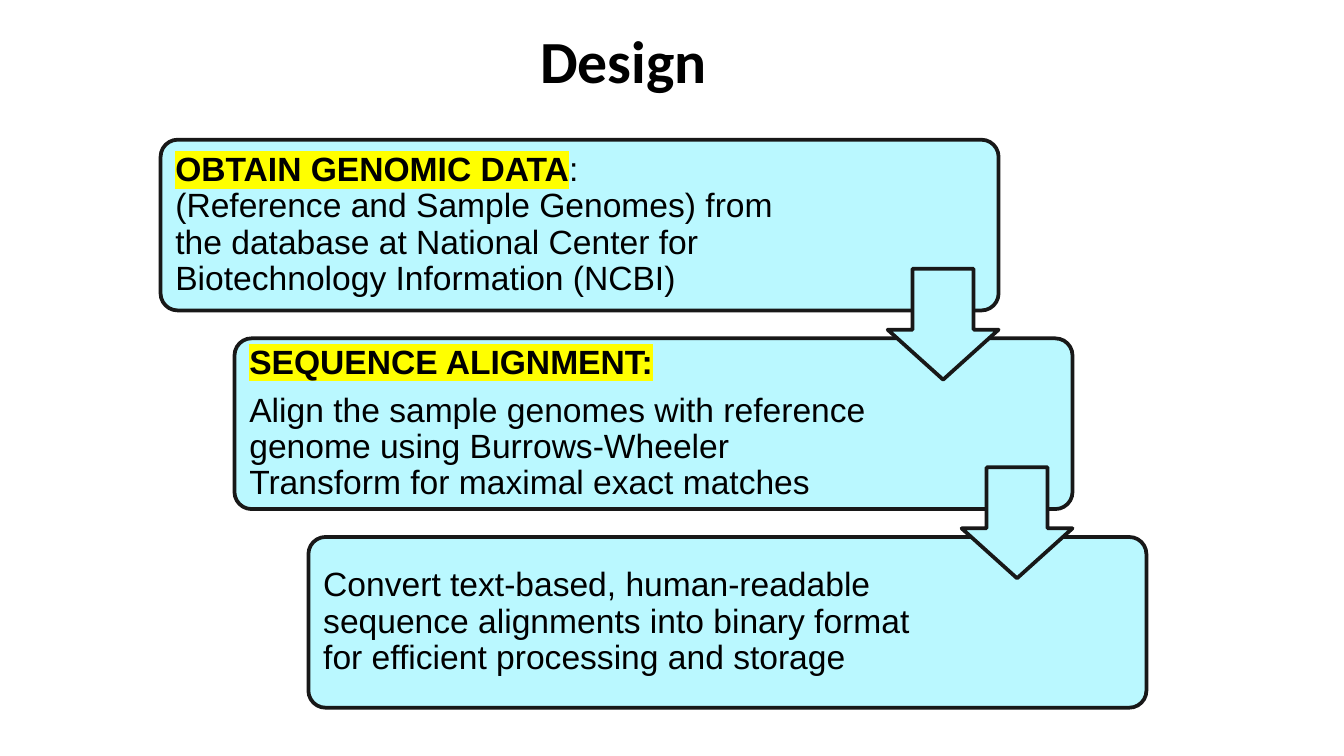
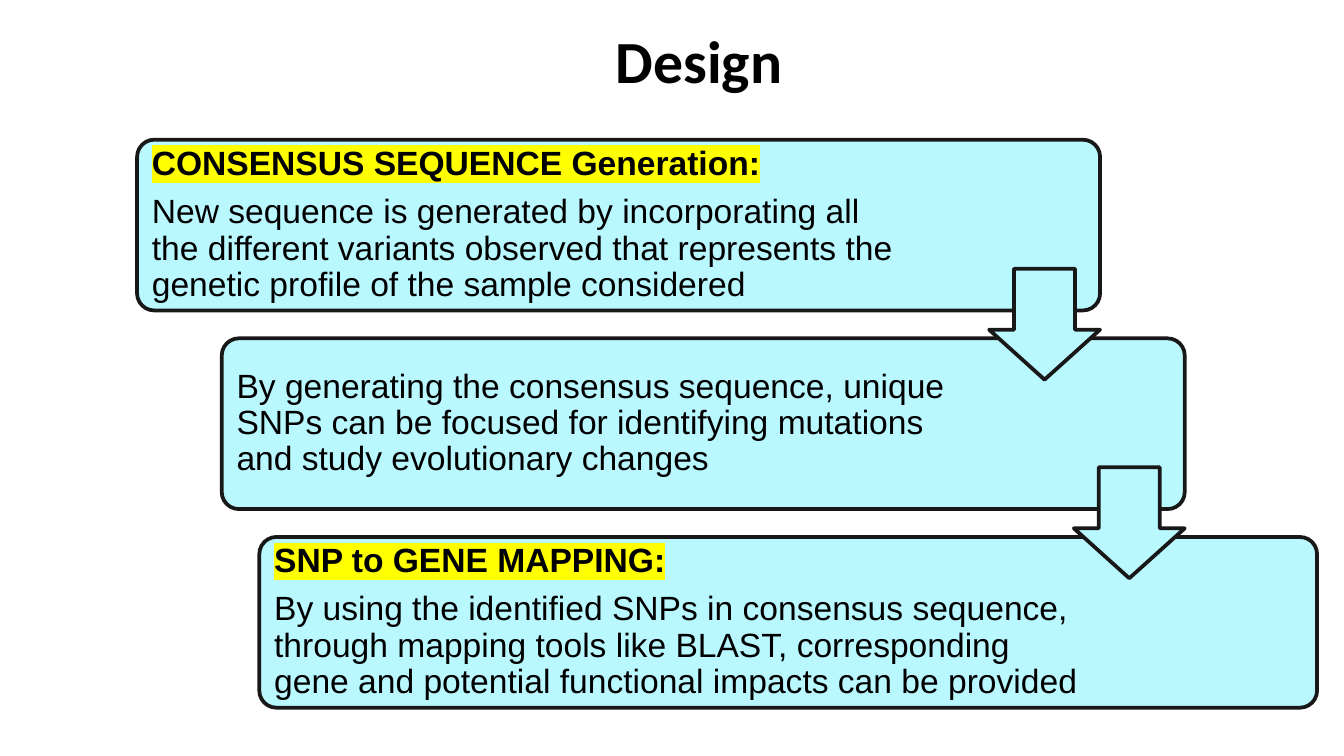
import collections

import pptx
import pptx.dml.color
import pptx.enum.shapes
import pptx.enum.text
import pptx.oxml.ns
import pptx.util
from lxml import etree

# Grid: a 16:9 slide of square cells, 100 columns wide
COLUMNS = 100
ROWS = COLUMNS * 9 / 16
CELL = pptx.util.Inches(0.1)

# Shared look
CARD_FILL, OUTLINE, TEXT, HIGHLIGHT = "BAF8FF", "181818", "000000", "FFFF00"
TITLE_FONT = {"name": "Calibri", "size": pptx.util.Pt(32), "bold": True}
BODY_FONT = {"name": "Arial", "size": pptx.util.Pt(18), "bold": False}
HEADING_FONT = {**BODY_FONT, "bold": True}
BODY_SPACING = {"line_spacing": 0.9, "space_after": pptx.util.Pt(6.3)}
MARGINS = ("margin_left", "margin_top", "margin_right", "margin_bottom")

# Shared measures in cells
TITLE_ROW, TITLE_COLUMNS, TITLE_ROWS = 1.5, 44.9, 8.9
TITLE_INDENT, TITLE_DROP = 14, 0.3
FIRST_ROW, ROW_STEP, CARD_ROWS = 10.4, 14.78, 12.7
TEXT_OFFSET, TEXT_MARGIN = 0.35, 0.75
ARROW_SIZE, ARROW_DROP = 8.25, 9.6

Box = collections.namedtuple("Box", "column row columns rows")
Step = collections.namedtuple("Step", "column columns text_columns heading body")

SLIDES = [
    {"title_column": 26.2, "steps": [
        Step(11.95, 62.35, 48.7, "OBTAIN GENOMIC DATA",
             ": \n(Reference and Sample Genomes) from the database at "
             "National Center for Biotechnology Information (NCBI)"),
        Step(17.45, 62.35, 47.9, "SEQUENCE ALIGNMENT:",
             "Align the sample genomes with reference genome using "
             "Burrows-Wheeler Transform for maximal exact matches"),
        Step(22.95, 62.35, 47.9, "",
             "Convert text-based, human-readable sequence alignments into "
             "binary format for efficient processing and storage"),
    ]},
    {"title_column": 31.8, "steps": [
        Step(10.2, 71.65, 58, "CONSENSUS SEQUENCE Generation:",
             "New sequence is generated by incorporating all the different "
             "variants observed that represents the genetic profile of the "
             "sample considered"),
        Step(16.5, 71.65, 56.4, "",
             "By generating the consensus sequence, unique SNPs can be "
             "focused for identifying mutations and study evolutionary changes"),
        Step(19.3, 78.7, 62, "SNP to GENE MAPPING:",
             "By using the identified SNPs in consensus sequence, through "
             "mapping tools like BLAST, corresponding gene and potential "
             "functional impacts can be provided"),
    ]},
]


def cells(count):
    return round(count * CELL)


def colour(hex_string):
    return pptx.dml.color.RGBColor.from_string(hex_string)


def set_values(target, values):
    for name, value in values.items():
        setattr(target, name, value)


def add_run(paragraph, text, font, highlight=None):
    run = paragraph.add_run()
    run.text = text
    set_values(run.font, font)
    run.font.color.rgb = colour(TEXT)
    if highlight:
        # The highlight element follows the text fill
        qn = pptx.oxml.ns.qn
        mark = etree.Element(qn("a:highlight"))
        etree.SubElement(mark, qn("a:srgbClr"), val=highlight)
        run._r.get_or_add_rPr().find(qn("a:solidFill")).addnext(mark)


def add_text_frame(slide, box, margin):
    frame = slide.shapes.add_textbox(*map(cells, box)).text_frame
    set_values(frame, {"word_wrap": True, **dict.fromkeys(MARGINS, cells(margin))})
    return frame


def add_outlined_shape(slide, kind, box, adjustments):
    shape = slide.shapes.add_shape(kind, *map(cells, box))
    for index, value in enumerate(adjustments):
        shape.adjustments[index] = value
    shape.shadow.inherit = False
    shape.fill.solid()
    shape.fill.fore_color.rgb = colour(CARD_FILL)
    shape.line.color.rgb = colour(OUTLINE)
    shape.line.width = pptx.util.Pt(2)


def add_title(slide, box):
    frame = add_text_frame(slide, box, 0)
    set_values(frame, {"margin_left": cells(TITLE_INDENT),
                       "margin_top": cells(TITLE_DROP)})
    add_run(frame.paragraphs[0], "Design", TITLE_FONT)


def add_card(slide, box, step):
    add_outlined_shape(slide, pptx.enum.shapes.MSO_SHAPE.ROUNDED_RECTANGLE,
                       box, [0.1])
    frame = add_text_frame(
        slide,
        Box(box.column + TEXT_OFFSET, box.row + TEXT_OFFSET,
            step.text_columns, box.rows - 2 * TEXT_OFFSET),
        TEXT_MARGIN)
    frame.vertical_anchor = pptx.enum.text.MSO_ANCHOR.MIDDLE
    paragraph = frame.paragraphs[0]
    first, *rest = step.body.split("\n")
    if step.heading:
        add_run(paragraph, step.heading, HEADING_FONT, HIGHLIGHT)
        if not rest:
            paragraph = frame.add_paragraph()
    add_run(paragraph, first, BODY_FONT)
    for line in rest:
        paragraph.add_line_break()
        add_run(paragraph, line, BODY_FONT)
    for paragraph in frame.paragraphs:
        set_values(paragraph, BODY_SPACING)


def add_arrow(slide, card):
    # Flush with the card's right edge, reaching into the next card
    box = Box(card.column + card.columns - ARROW_SIZE, card.row + ARROW_DROP,
              ARROW_SIZE, ARROW_SIZE)
    add_outlined_shape(slide, pptx.enum.shapes.MSO_SHAPE.DOWN_ARROW,
                       box, [0.55, 0.45])


def add_design_slide(presentation, title_column, steps):
    slide = presentation.slides.add_slide(presentation.slide_layouts[6])
    add_title(slide, Box(title_column, TITLE_ROW, TITLE_COLUMNS, TITLE_ROWS))
    cards = [Box(step.column, FIRST_ROW + index * ROW_STEP, step.columns, CARD_ROWS)
             for index, step in enumerate(steps)]
    for card, step in zip(cards, steps):
        add_card(slide, card, step)
    for card in cards[:-1]:
        add_arrow(slide, card)


def main():
    presentation = pptx.Presentation()
    presentation.slide_width = cells(COLUMNS)
    presentation.slide_height = cells(ROWS)
    for content in SLIDES:
        add_design_slide(presentation, **content)
    presentation.save("out.pptx")


if __name__ == "__main__":
    main()
